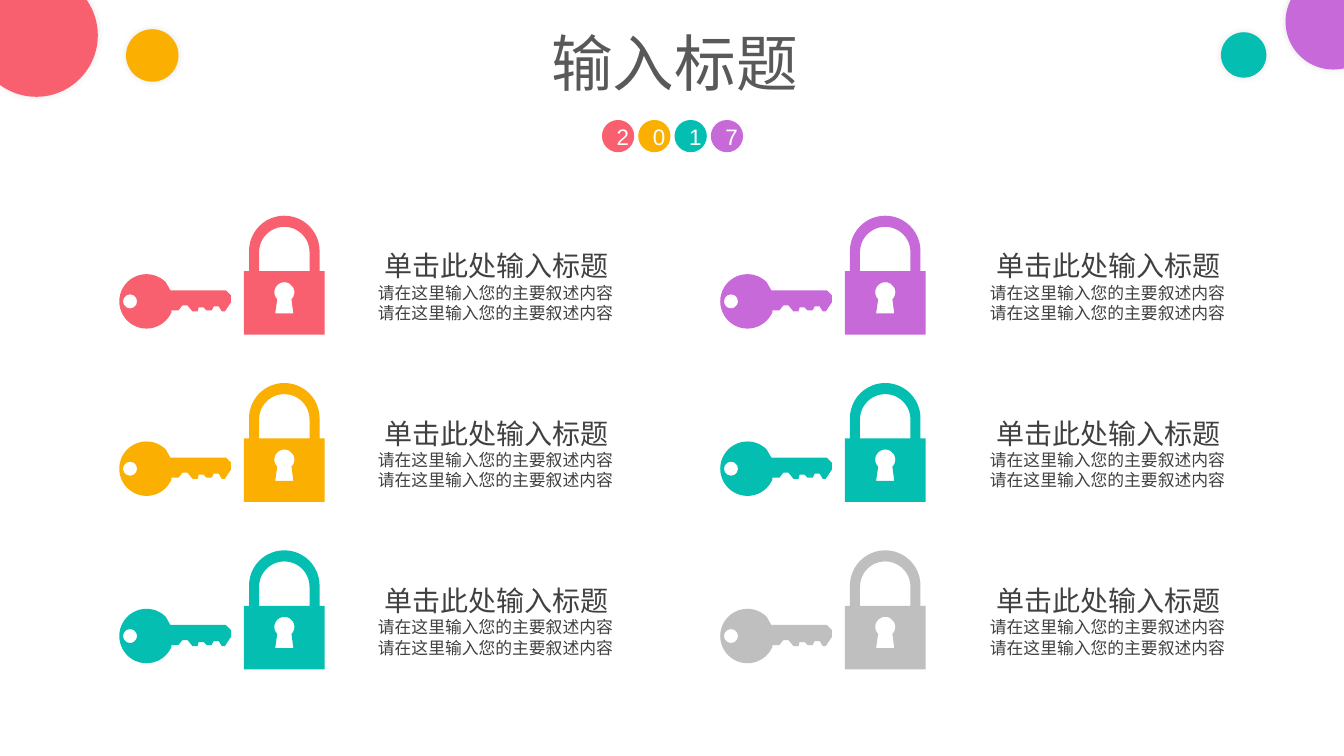
"""Build a title slide with six lock-and-key items in two columns."""
from lxml.etree import SubElement
from pptx import Presentation
from pptx.dml.color import RGBColor as Color
from pptx.enum.shapes import MSO_SHAPE as Preset
from pptx.enum.text import MSO_ANCHOR as Anchor
from pptx.enum.text import MSO_AUTO_SIZE as AutoSize
from pptx.enum.text import PP_ALIGN as Align
from pptx.oxml.ns import qn
from pptx.util import Inches, Pt

COLORS = {
    "coral": "F86070",
    "amber": "FBAF01",
    "teal": "04BFB1",
    "violet": "C769D8",
    "silver": "BFBFBF",
    "title": "595959",
    "body": "404040",
    "white": "FFFFFF",
}


def arc(radius, start, sweep):
    return radius, start, sweep


LOCK = [
    [(0, 0.55), (0.05, 0.55), (0.05, 0.35), arc(0.35, 180, 180),
     (0.75, 0.55), (0.8, 0.55), (0.8, 1.18), (0, 1.18)],
    [(0.15, 0.55), (0.15, 0.36), arc(0.25, 180, 180), (0.65, 0.55)],
    [(0.33, 0.83), arc(0.1, 135, 270), (0.49, 0.97), (0.31, 0.97)],
]
KEY = [
    [(0.52, 0.38), arc(0.27, 24, 291),
     (0.51, 0.16), (1.06, 0.16), (1.11, 0.21), (1.11, 0.28), (1.05, 0.37),
     (1.02, 0.37), (0.99, 0.32), (0.94, 0.32), (0.92, 0.36), (0.87, 0.36),
     (0.84, 0.33), (0.79, 0.33), (0.78, 0.37), (0.73, 0.37), (0.68, 0.31),
     (0.63, 0.31), (0.59, 0.36), (0.52, 0.36)],
    [(0.18, 0.27), arc(0.07, 0, 180), arc(0.07, 180, 180)],
]


def write(para, text, size, color, font="Arial", align=None):
    para.alignment = align
    span = para.add_run()
    span.text = text
    span.font.name = font
    span.font.size = Pt(size)
    span.font.color.rgb = Color.from_string(COLORS[color])


class SlideBuilder:
    def __init__(self, page):
        self.page = page

    def paint(self, shape, color):
        shape.shadow.inherit = False
        shape.fill.solid()
        shape.fill.fore_color.rgb = Color.from_string(COLORS[color])
        shape.line.fill.background()
        return shape

    def circle(self, left, top, size, color, parent=None):
        shapes = (parent or self.page).shapes
        shape = shapes.add_shape(Preset.OVAL, Inches(left), Inches(top),
                                 Inches(size), Inches(size))
        return self.paint(shape, color)

    def bubble(self, left, top, size, color):
        shape = self.circle(left, top, size, color)
        effects = shape._element.spPr.find(qn("a:effectLst"))
        shadow = SubElement(effects, qn("a:outerShdw"), blurRad=str(Pt(5)),
                            dist="0", dir="0", algn="ctr", rotWithShape="0")
        black = SubElement(shadow, qn("a:srgbClr"), val="000000")
        SubElement(black, qn("a:alpha"), val="11000")

    def badges(self, digits, colors):
        group = self.page.shapes.add_group_shape()
        for index, (digit, color) in enumerate(zip(digits, colors)):
            badge = self.circle(5.97 + 0.36 * index, 1.19, 0.32, color, group)
            badge.text_frame.vertical_anchor = Anchor.MIDDLE
            write(badge.text_frame.paragraphs[0], digit, 16, "white",
                  align=Align.CENTER)

    def outline(self, left, top, width, height, contours, color):
        right, bottom = Inches(width), Inches(height)
        builder = self.page.shapes.build_freeform(0, 0)
        builder.add_line_segments([(right, 0), (right, bottom), (0, bottom)])
        shape = builder.convert_to_shape(Inches(left), Inches(top))
        route = next(shape._element.iter(qn("a:path")))
        del route[:]
        for contour in contours:
            for index, step in enumerate(contour):
                if len(step) == 3:
                    radius, start, sweep = step
                    size = str(Inches(radius))
                    SubElement(route, qn("a:arcTo"), wR=size, hR=size,
                               stAng=str(start * 60000), swAng=str(sweep * 60000))
                else:
                    move = SubElement(route, qn("a:lnTo" if index else "a:moveTo"))
                    SubElement(move, qn("a:pt"), x=str(Inches(step[0])),
                               y=str(Inches(step[1])))
            SubElement(route, qn("a:close"))
        self.paint(shape, color)

    def text(self, left, top, width, height, lines, color):
        box = self.page.shapes.add_textbox(Inches(left), Inches(top),
                                           Inches(width), Inches(height))
        frame = box.text_frame
        frame.word_wrap = False
        frame.auto_size = AutoSize.SHAPE_TO_FIT_TEXT
        for index, (line, size) in enumerate(lines):
            para = frame.add_paragraph() if index else frame.paragraphs[0]
            write(para, line, size, color)


def main():
    deck = Presentation()
    deck.slide_width, deck.slide_height = Inches(13.33), Inches(7.5)
    slide = SlideBuilder(deck.slides.add_slide(deck.slide_layouts[6]))

    slide.badges("2017", ["coral", "amber", "teal", "violet"])
    slide.bubble(12.75, -0.26, 0.95, "violet")
    slide.bubble(12.11, 0.32, 0.45, "teal")
    slide.bubble(-0.25, -0.26, 1.22, "coral")
    slide.bubble(1.25, 0.29, 0.52, "amber")
    slide.text(5.37, 0.2, 2.67, 0.84, [("输入标题", 44)], "title")

    detail = ("请在这里输入您的主要叙述内容", 12)
    lines = [(" 单击此处输入标题", 20), detail, detail]
    columns = [("coral", "amber", "teal"), ("violet", "teal", "silver")]
    for column, colors in enumerate(columns):
        for row, color in enumerate(colors):
            shift, drop = 5.96 * column, 1.66 * row
            slide.outline(2.42 + shift, 2.14 + drop, 0.8, 1.18, LOCK, color)
            slide.outline(1.18 + shift, 2.72 + drop, 1.11, 0.54, KEY, color)
            slide.text(3.65 + 6.07 * column, 2.42 + drop, 2.56, 1.38, lines, "body")

    deck.save("out.pptx")


if __name__ == "__main__":
    main()
